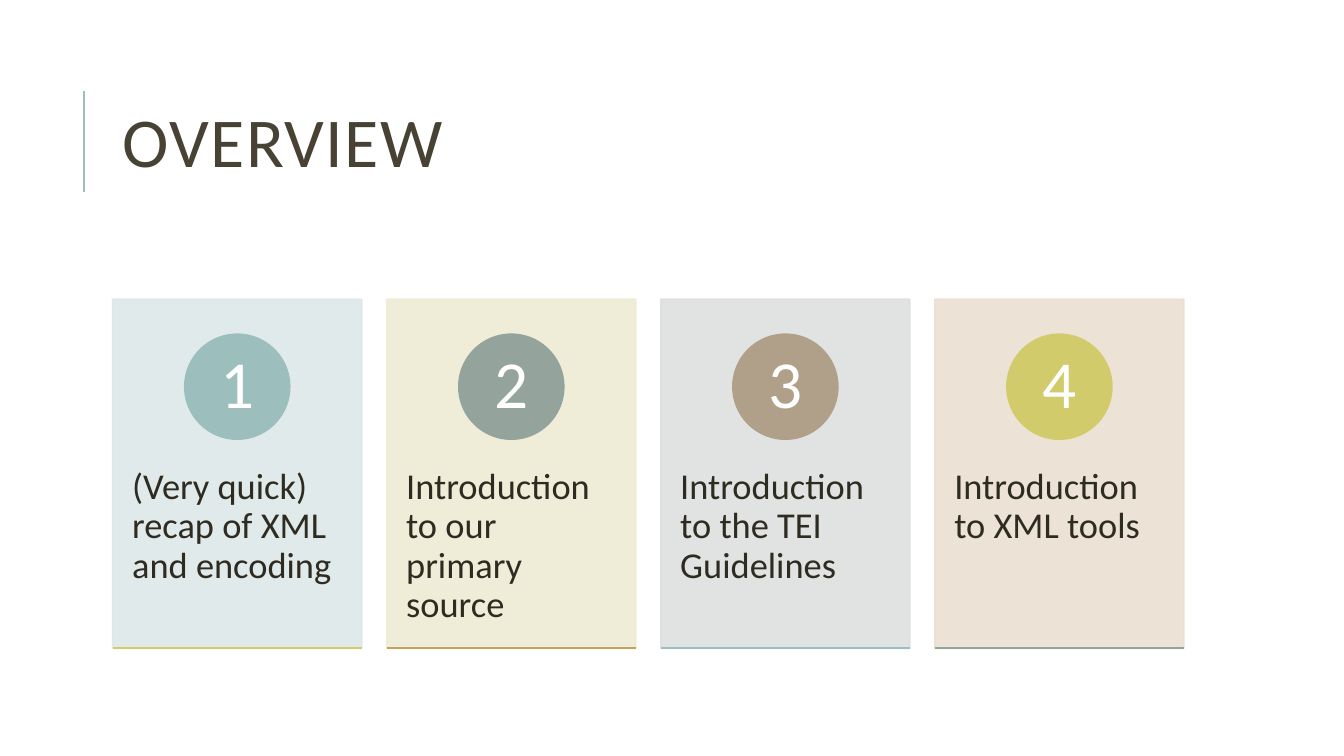
from dataclasses import dataclass

import pptx
import pptx.dml.color
import pptx.enum.shapes
import pptx.enum.text
import pptx.oxml.ns
import pptx.util
from lxml import etree

Pt = pptx.util.Pt
Shape = pptx.enum.shapes.MSO_SHAPE
Align = pptx.enum.text.PP_ALIGN
Anchor = pptx.enum.text.MSO_ANCHOR
qn = pptx.oxml.ns.qn


@dataclass(frozen=True)
class Theme:
    font: str = "Calibri"
    title: str = "474233"
    body: str = "2E2B21"
    white: str = "FFFFFF"
    teal: str = "9CBEBD"
    lime: str = "D2CB6C"
    sage: str = "95A39D"
    tan: str = "B1A089"
    gold: str = "C89F5D"
    head_size: float = 50
    num_size: float = 48
    body_size: float = 26


@dataclass(frozen=True)
class Box:
    left: float
    top: float
    width: float
    height: float

    def place(self) -> tuple:
        return Pt(self.left), Pt(self.top), Pt(self.width), Pt(self.height)


@dataclass(frozen=True)
class Card:
    text: str
    fill: str
    disc: str
    base: str


THEME = Theme()
CARDS = [
    Card("(Very quick) recap of XML and encoding", "DEE8E8", THEME.teal, THEME.lime),
    Card("Introduction to our primary source", "EEECD4", THEME.sage, THEME.gold),
    Card("Introduction to the TEI Guidelines", "DDE0DF", THEME.tan, THEME.teal),
    Card("Introduction to XML tools", "EBDFD2", THEME.lime, THEME.sage),
]
LEFT, TOP, WIDTH, HEIGHT, PITCH = 80.6, 213.8, 177.8, 249.2, 195.75
DISC, LABEL = 74.9, 52.6


def color(code: str) -> pptx.dml.color.RGBColor:
    return pptx.dml.color.RGBColor.from_string(code)


def add_text(slide, text: str, box: Box, *, size: float, ink: str,
             space: float = 0.9, after: float = 0, track: int = 0,
             align=Align.LEFT, anchor=Anchor.TOP, inset=(7.2, 3.6)) -> None:
    frame = slide.shapes.add_textbox(*box.place()).text_frame
    frame.word_wrap = True
    frame.vertical_anchor = anchor
    frame.margin_left = frame.margin_right = Pt(inset[0])
    frame.margin_top = frame.margin_bottom = Pt(inset[1])
    para = frame.paragraphs[0]
    para.alignment = align
    para.line_spacing = space
    para.space_after = Pt(after)
    run = para.add_run()
    run.text = text
    run.font.name = THEME.font
    run.font.size = Pt(size)
    run.font.color.rgb = color(ink)
    if track:
        run.font._element.set("spc", str(track))


def add_form(slide, kind, box: Box, fill: str, alpha: int = 100) -> None:
    form = slide.shapes.add_shape(kind, *box.place())
    form.shadow.inherit = False
    form.fill.solid()
    form.fill.fore_color.rgb = color(fill)
    form.line.color.rgb = color(fill)
    form.line.width = Pt(1.25)
    if alpha < 100:
        for node in form._element.spPr.iter(qn("a:srgbClr")):
            etree.SubElement(node, qn("a:alpha")).set("val", str(alpha * 1000))


def add_line(slide, start: tuple, end: tuple, ink: str, width: float) -> None:
    line = slide.shapes.add_connector(
        pptx.enum.shapes.MSO_CONNECTOR.STRAIGHT, *map(Pt, start + end))
    line.line.color.rgb = color(ink)
    line.line.width = Pt(width)
    etree.SubElement(line._element.spPr, qn("a:effectLst"))


def add_card(slide, card: Card, index: int) -> None:
    left = LEFT + index * PITCH
    mid, base = left + WIDTH / 2, TOP + HEIGHT
    add_form(slide, Shape.RECTANGLE, Box(left, TOP, WIDTH, HEIGHT), card.fill, 90)
    add_text(slide, card.text, Box(left, 308.4, WIDTH, 149.5),
             size=THEME.body_size, ink=THEME.body, after=9, inset=(13.8, 26))
    add_form(slide, Shape.OVAL, Box(mid - DISC / 2, 238.8, DISC, DISC), card.disc)
    add_text(slide, str(index + 1), Box(mid - LABEL / 2, 249.8, LABEL, LABEL),
             size=THEME.num_size, ink=THEME.white, align=Align.CENTER,
             anchor=Anchor.MIDDLE, inset=(5.8, 0.7))
    add_line(slide, (left, base), (left + WIDTH, base), card.base, 1.25)


def main() -> None:
    deck = pptx.Presentation()
    deck.slide_width, deck.slide_height = Pt(960), Pt(540)
    slide = deck.slides.add_slide(deck.slide_layouts[6])
    add_line(slide, (60, 137), (60, 65), THEME.teal, 1.5)
    add_text(slide, "OVERVIEW", Box(LEFT, 46, 765.4, 118),
             size=THEME.head_size, ink=THEME.title, space=0.8, track=100,
             anchor=Anchor.MIDDLE)
    for index, card in enumerate(CARDS):
        add_card(slide, card, index)
    deck.save("out.pptx")


if __name__ == "__main__":
    main()
